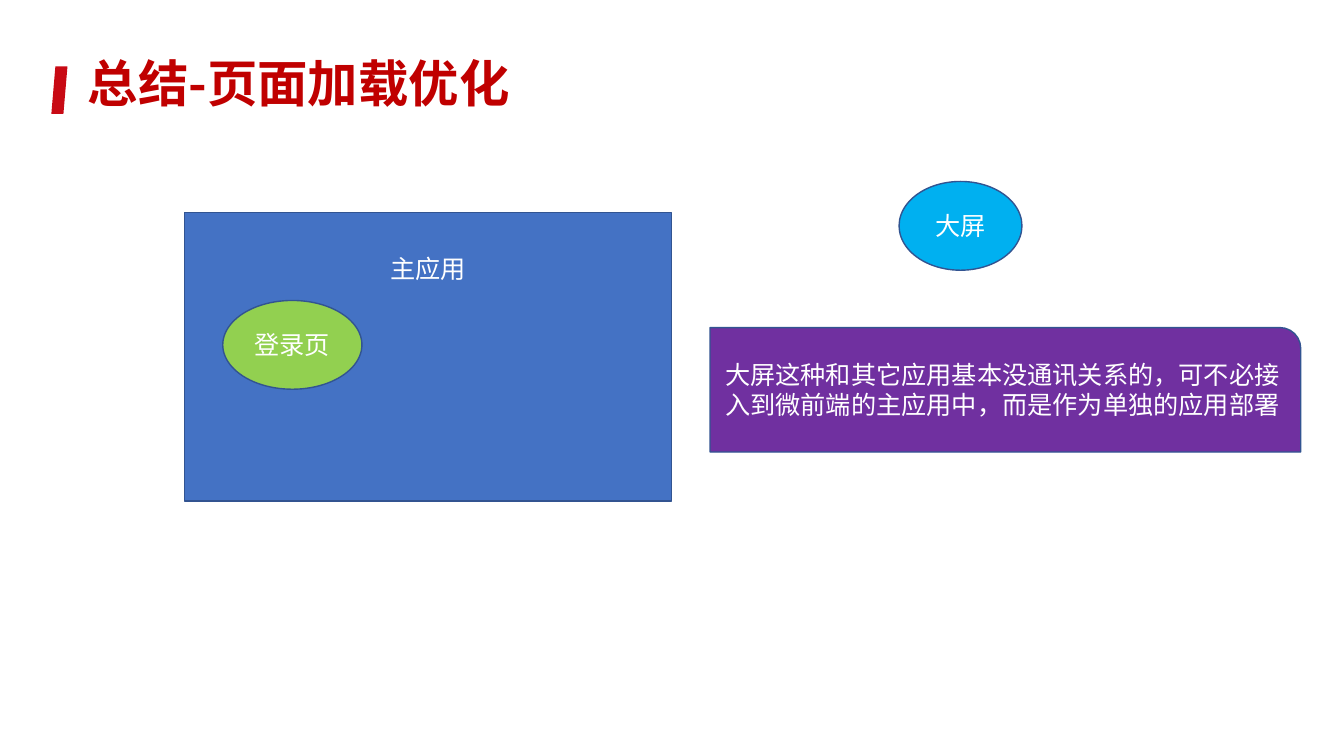
from lxml import etree
from pptx import Presentation
from pptx.dml.color import RGBColor
from pptx.enum import shapes, text
from pptx.oxml import ns
from pptx.util import Pt

FONT = "Noto Sans CJK SC"
TITLE = "总结-页面加载优化"
TITLE_BOX = (62.6, 38.2, 433.4, 49.7)
ACCENT_BOX = (36.7, 47.5, 11.5, 33.8)
OUTLINE = "325491"
KIND = shapes.MSO_SHAPE
MIDDLE = text.MSO_ANCHOR.MIDDLE
TOP = text.MSO_ANCHOR.TOP

NODES = [
    ("主应用", KIND.RECTANGLE, (131.8, 151.9, 347.8, 205.9), "4472C4", TOP, 29.4),
    ("登录页", KIND.OVAL, (159.1, 214.6, 99.4, 63.4), "92D050", MIDDLE, 3.6),
    ("大屏", KIND.OVAL, (642.2, 129.6, 87.8, 63.4), "00B0F0", MIDDLE, 3.6),
    ("大屏这种和其它应用基本没通讯关系的，可不必接入到微前端的主应用中，而是作为单独的应用部署",
     KIND.ROUND_1_RECTANGLE, (507.2, 234, 421.9, 88.9), "7030A0", MIDDLE, 3.6),
]


def color(value):
    return RGBColor.from_string(value)


def write(shape, words, size, hue, align, spacing, bold=False):
    frame = shape.text_frame
    frame.text = words
    frame.word_wrap = True
    para = frame.paragraphs[0]
    para.alignment = align
    para.line_spacing = spacing
    span = para.runs[0]
    span.font.name = FONT
    span.font.size = Pt(size)
    span.font.bold = bold
    span.font.color.rgb = color(hue)
    east_asian = etree.SubElement(span.font._element, ns.qn("a:ea"))
    east_asian.set("typeface", FONT)
    return frame


def add_block(page, kind, box, fill):
    block = page.shapes.add_shape(kind, *map(Pt, box))
    block.shadow.inherit = False
    block.fill.solid()
    block.fill.fore_color.rgb = color(fill)
    return block


def add_title(page):
    title = page.shapes.title
    title.left, title.top, title.width, title.height = map(Pt, TITLE_BOX)
    frame = write(title, TITLE, 36, "C00000", text.PP_ALIGN.LEFT, 0.9, bold=True)
    frame.auto_size = text.MSO_AUTO_SIZE.NONE
    frame.vertical_anchor = TOP
    frame.margin_left = 0


def add_node(page, words, kind, box, fill, anchor, margin_top):
    node = add_block(page, kind, box, fill)
    node.line.color.rgb = color(OUTLINE)
    node.line.width = Pt(1)
    frame = write(node, words, 18, "FFFFFF", text.PP_ALIGN.CENTER, Pt(21.4))
    frame.vertical_anchor = anchor
    frame.margin_top = Pt(margin_top)


def main():
    deck = Presentation()
    deck.slide_width, deck.slide_height = Pt(960), Pt(540)
    page = deck.slides.add_slide(deck.slide_layouts[5])
    accent = add_block(page, KIND.PARALLELOGRAM, ACCENT_BOX, "C80A14")
    accent.line.fill.background()
    add_title(page)
    for node in NODES:
        add_node(page, *node)
    deck.save("out.pptx")


if __name__ == "__main__":
    main()
